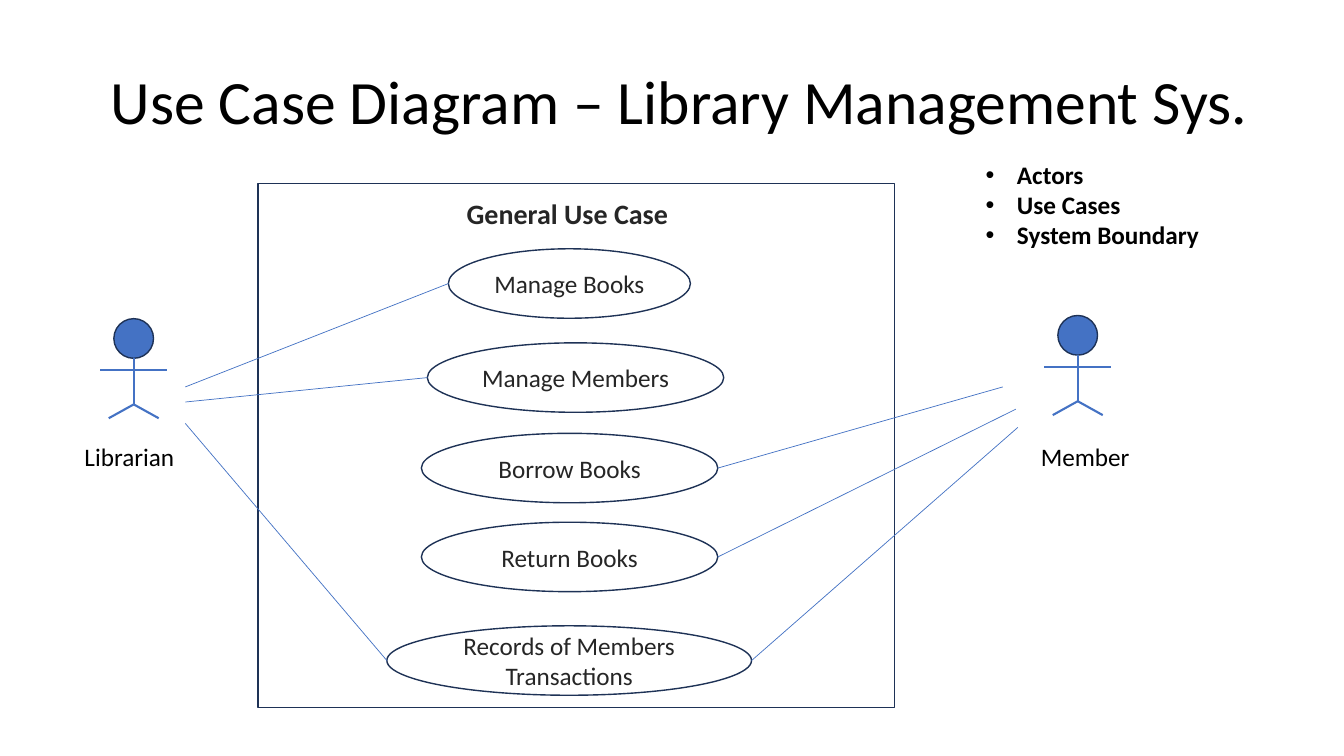
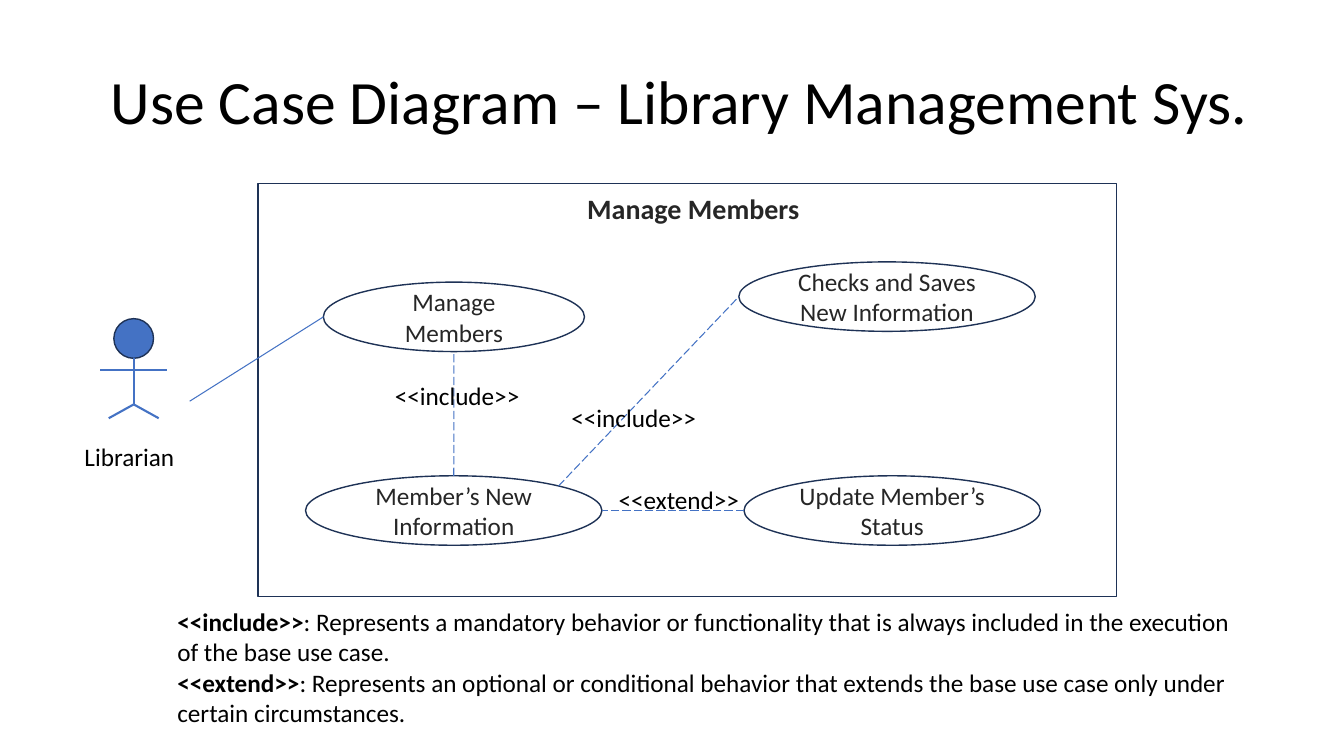
from enum import IntEnum
from math import cos, radians, sin
from typing import NamedTuple, Optional

from lxml.etree import SubElement
from pptx import Presentation
from pptx.dml.color import RGBColor
from pptx.enum.dml import MSO_LINE
from pptx.enum.shapes import MSO_CONNECTOR, MSO_SHAPE
from pptx.enum.text import MSO_ANCHOR, MSO_AUTO_SIZE, PP_ALIGN
from pptx.oxml.ns import qn
from pptx.util import Cm, Pt

BLACK = RGBColor(0x00, 0x00, 0x00)
CHARCOAL = RGBColor(0x26, 0x26, 0x26)
NAVY = RGBColor(0x1E, 0x32, 0x56)
BLUE = RGBColor(0x44, 0x72, 0xC4)

FONT = "Calibri"
TITLE = "Use Case Diagram – Library Management Sys."
OVAL_HEIGHT = 1.75
OVAL_WIDTH = 7.47


class Site(IntEnum):
    """Connection sites of an ellipse, counted anticlockwise from the top."""
    TOP = 0
    LEFT = 2
    BOTTOM = 4
    RIGHT = 6
    TOP_RIGHT = 7


class End(NamedTuple):
    """End of a link, in EMU, glued to a shape if one is given."""
    x: int
    y: int
    shape_id: Optional[int] = None
    site: Optional[Site] = None


def free(x, y):
    return End(Cm(x), Cm(y))


def on(oval, site):
    """End that lies on the outline of an oval, at one of its sites."""
    angle = radians(45 * site)
    radius_x, radius_y = oval.width / 2, oval.height / 2
    x = oval.left + radius_x * (1 - sin(angle))
    y = oval.top + radius_y * (1 - cos(angle))
    return End(round(x), round(y), oval.shape_id, site)


class Diagram:
    def __init__(self, deck):
        self.deck = deck
        self.slide = None

    def new_slide(self, title):
        self.slide = self.deck.slides.add_slide(self.deck.slide_layouts[5])
        heading = self.slide.shapes.title
        heading.left, heading.top = Cm(2.54), Cm(0.79)
        heading.width, heading.height = Cm(29.21), Cm(3.68)
        frame = heading.text_frame
        frame.auto_size = MSO_AUTO_SIZE.NONE
        frame.vertical_anchor = MSO_ANCHOR.MIDDLE
        frame.text = title
        paragraph = frame.paragraphs[0]
        paragraph.alignment = PP_ALIGN.LEFT
        paragraph.line_spacing = 0.9
        self.style(paragraph, 44)

    def style(self, paragraph, size=18, color=BLACK, bold=None):
        font = paragraph.font
        font.name, font.size, font.bold = FONT, Pt(size), bold
        font.color.rgb = color

    def outline(self, shapes, preset, left, top, width, height, fill=None):
        """Preset shape with a navy outline, hollow unless a fill is given."""
        shape = shapes.add_shape(preset, Cm(left), Cm(top), Cm(width), Cm(height))
        shape.shadow.inherit = False
        shape.line.color.rgb = NAVY
        shape.line.width = Pt(1)
        if fill is None:
            shape.fill.background()
        else:
            shape.fill.solid()
            shape.fill.fore_color.rgb = fill
        return shape

    def line(self, shapes, start, end, weight):
        line = shapes.add_connector(
            MSO_CONNECTOR.STRAIGHT, start.x, start.y, end.x, end.y)
        line.line.color.rgb = BLUE
        line.line.width = Pt(weight)
        SubElement(line._element.spPr, qn("a:effectLst"))
        return line

    def boundary(self, width, height):
        self.outline(self.slide.shapes, MSO_SHAPE.RECTANGLE, 6.5, 4.62, width, height)

    def use_case(self, text, left, top, width=OVAL_WIDTH):
        oval = self.outline(
            self.slide.shapes, MSO_SHAPE.OVAL, left, top, width, OVAL_HEIGHT)
        frame = oval.text_frame
        frame.word_wrap = True
        frame.vertical_anchor = MSO_ANCHOR.MIDDLE
        frame.text = text
        frame.paragraphs[0].alignment = PP_ALIGN.CENTER
        self.style(frame.paragraphs[0], color=CHARCOAL)
        return oval

    def link(self, start, end, weight=0.75, dashed=False):
        line = self.line(self.slide.shapes, start, end, weight)
        if dashed:
            line.line.dash_style = MSO_LINE.LONG_DASH
        glue = line._element.nvCxnSpPr.cNvCxnSpPr
        for tag, point in (("a:stCxn", start), ("a:endCxn", end)):
            if point.shape_id is not None:
                SubElement(glue, qn(tag), id=str(point.shape_id), idx=str(int(point.site)))

    def actor(self, name, center, top, label_left):
        """Grouped stick figure with its name below."""
        figure = self.slide.shapes.add_group_shape().shapes
        self.outline(figure, MSO_SHAPE.OVAL, center - 0.5, top, 1, 1, BLUE)
        neck, hip = free(center, top + 1), free(center, top + 2.16)
        limbs = [(neck, hip),
                 (free(center - 0.84, top + 1.3), free(center + 0.84, top + 1.3))]
        limbs += [(hip, free(center + step, top + 2.51)) for step in (-0.63, 0.63)]
        for start, end in limbs:
            self.line(figure, start, end, 1.5)
        self.label(name, label_left, 11, 2.78)

    def text_box(self, left, top, width, height, wrap=False):
        frame = self.slide.shapes.add_textbox(
            Cm(left), Cm(top), Cm(width), Cm(height)).text_frame
        frame.word_wrap = wrap
        frame.auto_size = MSO_AUTO_SIZE.SHAPE_TO_FIT_TEXT
        return frame

    def label(self, text, left, top, width):
        frame = self.text_box(left, top, width, 1.02)
        frame.text = text
        self.style(frame.paragraphs[0])

    def boundary_name(self, text, left, top, width):
        frame = self.text_box(left, top, width, 1.12)
        frame.text = text
        self.style(frame.paragraphs[0], 20, CHARCOAL, True)

    def bullets(self, items, left, top, width, height):
        frame = self.text_box(left, top, width, height)
        frame.text = "\n".join(items)
        for paragraph in frame.paragraphs:
            self.style(paragraph, bold=True)
            properties = paragraph._p.get_or_add_pPr()
            properties.set("marL", str(Cm(0.79)))
            properties.set("indent", str(-Cm(0.79)))
            SubElement(properties, qn("a:buFont"), typeface="Arial")
            SubElement(properties, qn("a:buChar"), char="•")
            # The schema wants the default run properties after the bullet.
            properties.append(properties.find(qn("a:defRPr")))

    def definitions(self, entries, left, top, width, height):
        frame = self.text_box(left, top, width, height, wrap=True)
        for number, (term, meaning) in enumerate(entries):
            paragraph = frame.add_paragraph() if number else frame.paragraphs[0]
            self.style(paragraph)
            term_run = paragraph.add_run()
            term_run.text = term
            term_run.font.bold = True
            paragraph.add_run().text = f": {meaning}"


def general_use_case(diagram):
    diagram.new_slide(TITLE)
    diagram.boundary(16.05, 13.21)
    diagram.boundary_name("General Use Case", 11.51, 4.83, 5.64)
    diagram.actor("Librarian", 3.37, 8.03, 1.88)
    diagram.actor("Member", 27.16, 7.95, 25.98)
    diagram.bullets(["Actors", "Use Cases", "System Boundary"], 24.59, 3.89, 5.94, 2.57)

    books = diagram.use_case("Manage Books", 11.3, 6.27, 6.1)
    members = diagram.use_case("Manage Members", 10.77, 8.64)
    borrowing = diagram.use_case("Borrow Books", 10.62, 10.92)
    returning = diagram.use_case("Return Books", 10.62, 13.16)
    records = diagram.use_case("Records of Members Transactions", 9.75, 15.77, 9.19)

    for oval, y in ((books, 9.75), (members, 10.13), (records, 10.67)):
        diagram.link(free(4.67, y), on(oval, Site.LEFT), 0.5)
    for oval, x, y in ((borrowing, 25.27, 9.75), (returning, 25.6, 10.31),
                       (records, 25.65, 10.77)):
        diagram.link(on(oval, Site.RIGHT), free(x, y), 0.5)


def manage_members(diagram):
    diagram.new_slide(TITLE)
    diagram.boundary(21.64, 10.41)
    diagram.boundary_name("Manage Members", 14.55, 4.7, 5.92)
    diagram.actor("Librarian", 3.37, 8.03, 1.88)

    managing = diagram.use_case("Manage Members", 8.15, 7.11, 6.58)
    checking = diagram.use_case("Checks and Saves New Information", 18.62, 6.6)
    new_information = diagram.use_case("Member’s New Information", 7.7, 11.99)
    status = diagram.use_case("Update Member’s Status", 18.75, 11.99)

    diagram.link(free(4.78, 10.11), on(managing, Site.LEFT))
    for start, end in (
        (on(new_information, Site.TOP_RIGHT), on(checking, Site.LEFT)),
        (on(new_information, Site.TOP), on(managing, Site.BOTTOM)),
        (on(status, Site.LEFT), on(new_information, Site.RIGHT)),
    ):
        diagram.link(start, end, dashed=True)

    diagram.label("<<include>>", 14.15, 10.01, 3.71)
    diagram.label("<<include>>", 9.7, 9.45, 3.71)
    diagram.label("<<extend>>", 15.34, 12.07, 3.58)
    diagram.definitions([
        ("<<include>>", "Represents a mandatory behavior or functionality that is "
                        "always included in the execution of the base use case."),
        ("<<extend>>", "Represents an optional or conditional behavior that extends "
                       "the base use case only under certain circumstances."),
    ], 4.22, 15.16, 27.53, 3.33)


def main():
    deck = Presentation()
    deck.slide_width, deck.slide_height = Cm(33.87), Cm(19.05)
    diagram = Diagram(deck)
    general_use_case(diagram)
    manage_members(diagram)
    deck.save("out.pptx")


if __name__ == "__main__":
    main()
